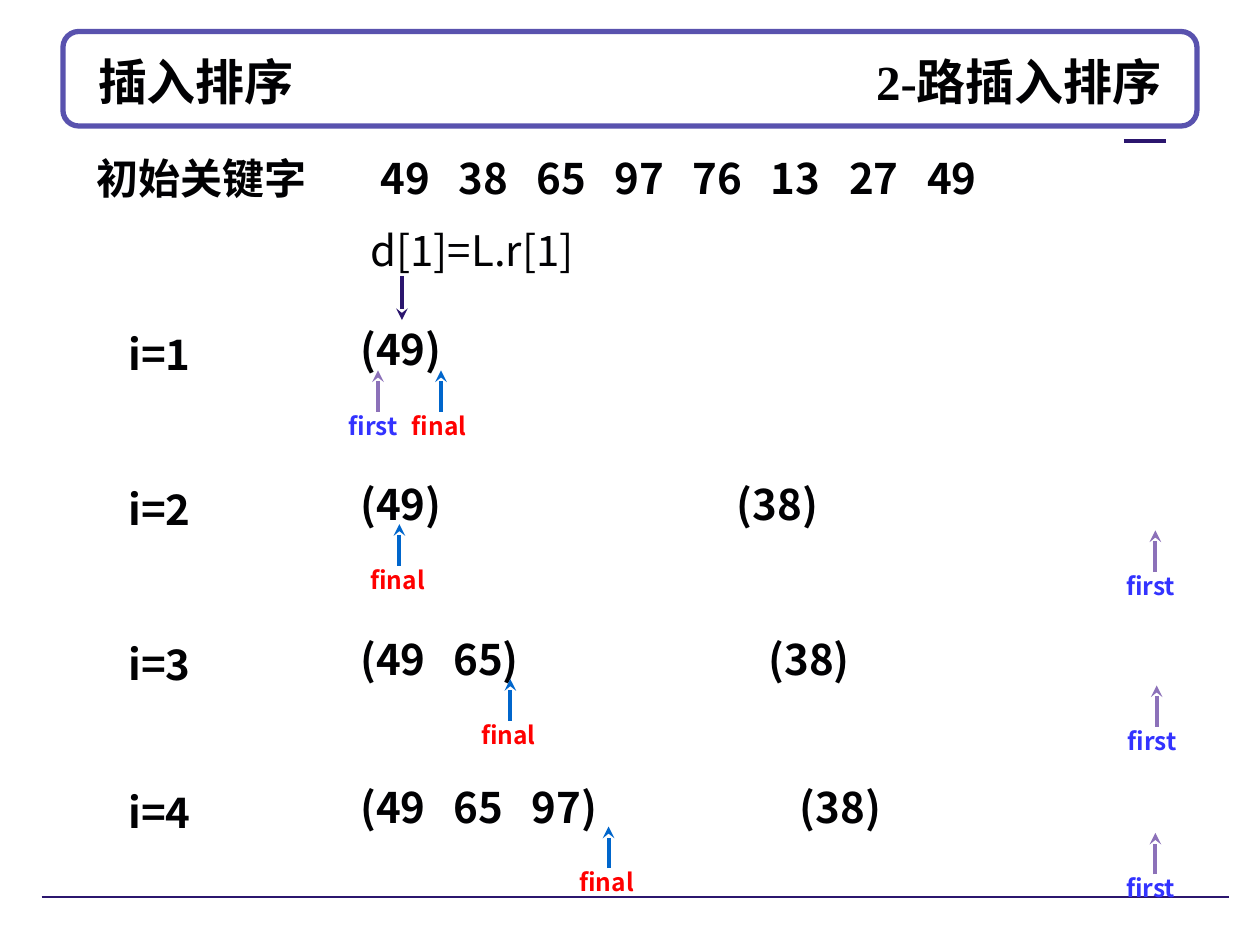
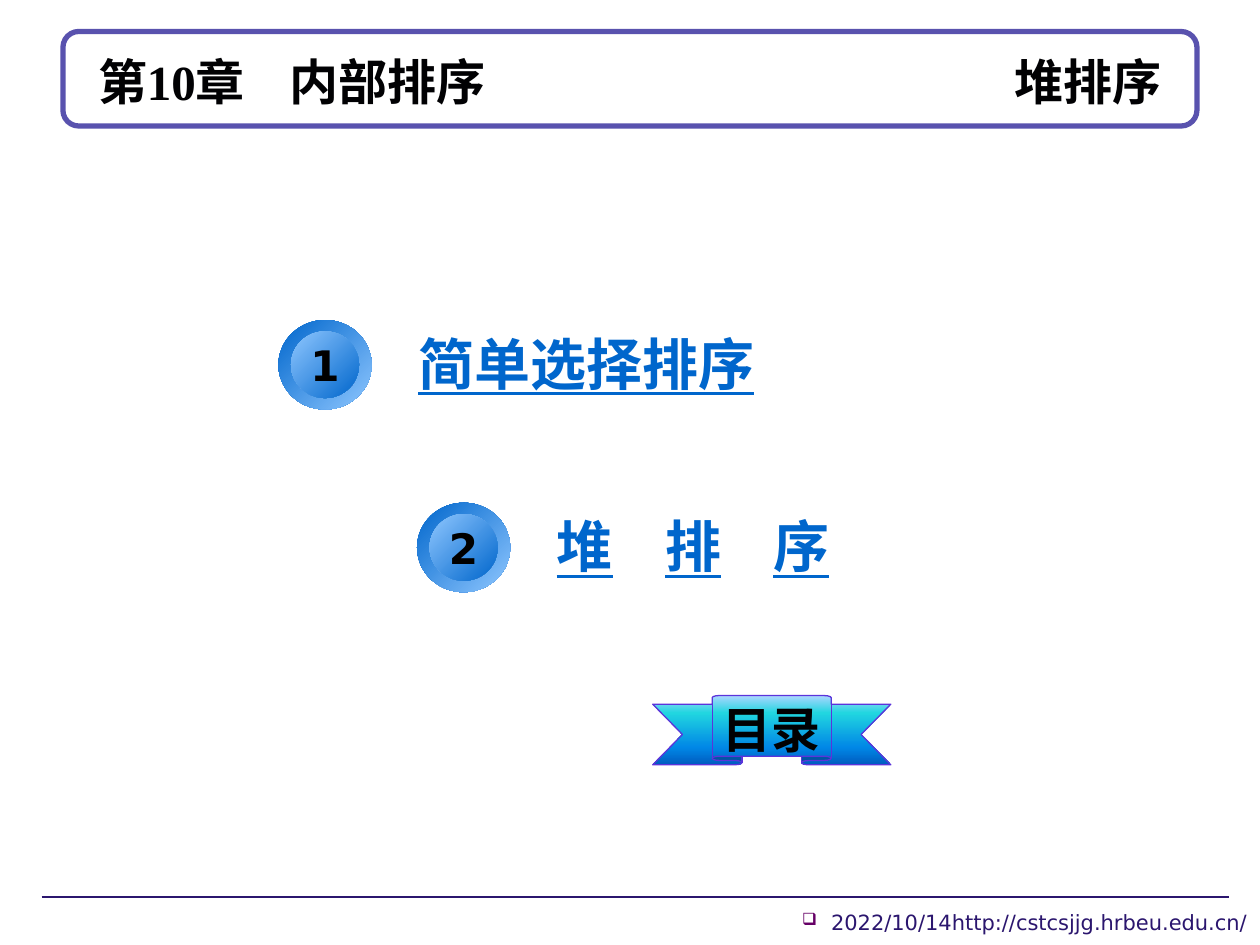
import pptx
import pptx.util
import pptx.dml.color
import pptx.enum.shapes
import pptx.enum.text
import pptx.oxml
import pptx.oxml.ns
from lxml import etree

Inches = pptx.util.Inches
Pt = pptx.util.Pt
ShapeType = pptx.enum.shapes.MSO_SHAPE
Anchor = pptx.enum.text.MSO_ANCHOR
Align = pptx.enum.text.PP_ALIGN
qn = pptx.oxml.ns.qn

COLOURS = {
    "paper": "FFFFFF", "ink": "010103", "black": "000000", "frame": "5952AE",
    "navy": "2B166E", "first": "3333FF", "first_arrow": "8C71B9",
    "final": "FF0000", "final_arrow": "0066CC", "link": "0066CC",
    "sky": "8FC7FF", "ribbon_edge": "5B34DA", "bullet": "660066",
}
RIBBON_STOPS = [(0, "ADD6FF"), (25, "21D6E0"), (75, "0087E6"), (100, "005CBF")]
SANS, SERIF, LABEL, PLAIN = "Noto Sans CJK SC", "Times New Roman", "Cabin", "DejaVu Sans"

INSERTION_TITLE = ["插入排序", "2-路插入排序"]
HEAP_TITLE = ["第10章", "内部排序", "堆排序"]
CHAPTER_TAB = 1.52
KEYS_LABEL = "初始关键字"
KEYS = ["49", "38", "65", "97", "76", "13", "27", "49"]
ASSIGNMENT = "d[1]=L.r[1]"
STEPS = [
    {"name": "i=1", "top": 2.48, "front": ["(49)"], "back": [], "first": (3, 0.71), "final": (3.5, 0.71)},
    {"name": "i=2", "top": 3.71, "front": ["(49)"], "back": ["(38)"], "first": (9.17, 0.75), "final": (3.17, 0.7)},
    {"name": "i=3", "top": 4.94, "front": ["(49", "65)"], "back": ["(38)"], "first": (9.18, 0.75), "final": (4.05, 0.7)},
    {"name": "i=4", "top": 6.11, "front": ["(49", "65", "97)"], "back": ["(38)"], "first": (9.17, 0.75), "final": (4.83, 0.7)},
]
TOPICS = [["简单选择排序"], ["堆", "排", "序"]]
CONTENTS = "目录"
FOOTER = "2022/10/14http://cstcsjjg.hrbeu.edu.cn/"

KEY_PITCH = 0.62
SECOND_KEY = 0.74
BACK_START, BACK_STEP = 2.99, 0.25
TOPIC_START, TOPIC_STEP = (2.21, 2.54), (1.1, 1.45)


def colour(name):
    return pptx.dml.color.RGBColor.from_string(COLOURS[name])


def set_tabs(paragraph, stops):
    tab_list = etree.SubElement(paragraph._p.get_or_add_pPr(), qn("a:tabLst"))
    for position, alignment in stops:
        etree.SubElement(tab_list, qn("a:tab"), pos=str(Inches(position)), algn=alignment)


def write(shape, text, size, font, tint, bold=True, align=Align.LEFT, anchor=Anchor.TOP,
          underline=None, spacing=None, tabs=()):
    frame = shape.text_frame
    frame.word_wrap = True
    frame.vertical_anchor = anchor
    paragraph = frame.paragraphs[0]
    paragraph.alignment = align
    if spacing:
        paragraph.line_spacing = spacing
    if tabs:
        set_tabs(paragraph, tabs)
    run = paragraph.add_run()
    run.text = text
    run.font.size = Pt(size)
    run.font.name = font
    run.font.bold = bold
    run.font.underline = underline
    run.font.color.rgb = colour(tint)
    etree.SubElement(run._r.get_or_add_rPr(), qn("a:ea"), typeface=SANS)
    return paragraph


def add_text(slide, box, text, size, font, tint, **style):
    shape = slide.shapes.add_textbox(*map(Inches, box))
    write(shape, text, size, font, tint, **style)
    return shape


def add_body(slide, box, text, font=SANS, size=24, tint="ink", **style):
    return add_text(slide, box, text, size, font, tint, spacing=1.1, **style)


def add_line(slide, start, end, tint, width, arrow=False):
    connector = slide.shapes.add_connector(
        pptx.enum.shapes.MSO_CONNECTOR.STRAIGHT, *map(Inches, start + end))
    connector.line.color.rgb = colour(tint)
    connector.line.width = Pt(width)
    if arrow:
        etree.SubElement(connector.line._get_or_add_ln(), qn("a:tailEnd"), type="stealth")
    etree.SubElement(connector._element.spPr, qn("a:effectLst"))


def add_preset(slide, kind, box, edge=None, width=1):
    shape = slide.shapes.add_shape(kind, *map(Inches, box))
    shape.shadow.inherit = False
    if edge:
        shape.line.color.rgb = colour(edge)
        shape.line.width = Pt(width)
    else:
        shape.line.fill.background()
    frame = shape.text_frame
    frame.margin_left = frame.margin_right = frame.margin_top = frame.margin_bottom = 0
    return shape


def fill_gradient(shape, stops, angle):
    shape.fill.gradient()
    shape.fill.gradient_angle = 360 - angle
    stop_list = shape._element.spPr.find(qn("a:gradFill")).find(qn("a:gsLst"))
    for stop in list(stop_list):
        stop_list.remove(stop)
    for percent, value in stops:
        stop = etree.SubElement(stop_list, qn("a:gs"), pos=str(percent * 1000))
        etree.SubElement(stop, qn("a:srgbClr"), val=value)


def add_framed_slide(presentation, title, extra_tabs=()):
    slide = presentation.slides.add_slide(presentation.slide_layouts[6])
    slide.background.fill.solid()
    slide.background.fill.fore_color.rgb = colour("paper")
    frame = add_preset(slide, ShapeType.ROUNDED_RECTANGLE, (0.5, 0.25, 9, 0.75), "frame", 3)
    frame.fill.solid()
    frame.fill.fore_color.rgb = colour("paper")
    add_line(slide, (0.33, 7.12), (9.75, 7.12), "navy", 0.75)
    tabs = [(position, "l") for position in extra_tabs] + [(8.44, "r")]
    add_text(slide, (0.68, 0.33, 8.64, 0.62), "\t".join(title), 28, SERIF, "ink",
             anchor=Anchor.MIDDLE, tabs=tabs)
    return slide


def add_pointer(slide, name, x, label_top):
    add_body(slide, (x - 0.33, label_top, 0.75, 0.36), name, size=14, tint=name)
    add_line(slide, (x, label_top + 0.08), (x, label_top - 0.25), name + "_arrow", 2.25, True)


def add_step(slide, step):
    top, front = step["top"], step["front"]
    following = len(front) - 1
    tabs = [(SECOND_KEY + KEY_PITCH * index, "l") for index in range(following)]
    tabs.append((BACK_START + BACK_STEP * following, "l"))
    add_body(slide, (0.92, top + 0.04, 0.83, 0.55), step["name"])
    add_body(slide, (2.76, top, 6.92, 0.55), "\t".join(front + step["back"]), tabs=tabs)
    for name in ("first", "final"):
        x, drop = step[name]
        add_pointer(slide, name, x, top + drop)


def build_insertion_slide(presentation):
    slide = add_framed_slide(presentation, INSERTION_TITLE)
    add_body(slide, (0.67, 1.12, 2, 0.55), KEYS_LABEL, font=LABEL)
    add_body(slide, (2.92, 1.12, 6.67, 0.55), "\t".join(KEYS),
             tabs=[(KEY_PITCH * index, "l") for index in range(1, len(KEYS))])
    for step in STEPS:
        add_step(slide, step)
    add_line(slide, (8.92, 1.12), (9.25, 1.12), "navy", 2.25)
    add_body(slide, (2.84, 1.69, 2.09, 0.55), ASSIGNMENT, bold=False)
    add_line(slide, (3.19, 2.19), (3.19, 2.54), "navy", 2.25, True)


def add_topic(slide, index, words):
    left, top = (start + step * index for start, step in zip(TOPIC_START, TOPIC_STEP))
    tabs = [(0.86 * number, "l") for number in range(1, len(words))]
    add_text(slide, (left + 1.01, top + 0.05, 3.8, 0.58), "\t".join(words), 32, SERIF, "link",
             anchor=Anchor.MIDDLE, underline=True, tabs=tabs)
    ends = [COLOURS["link"], COLOURS["sky"]]
    rim = add_preset(slide, ShapeType.OVAL, (left, top, 0.74, 0.71))
    fill_gradient(rim, list(zip((0, 100), ends)), 45)
    badge = add_preset(slide, ShapeType.OVAL, (left + 0.1, top + 0.09, 0.54, 0.53))
    fill_gradient(badge, list(zip((0, 100), reversed(ends))), 45)
    write(badge, str(index + 1), 24, PLAIN, "black", align=Align.CENTER, anchor=Anchor.MIDDLE)


def add_footer(slide):
    shape = slide.shapes.add_textbox(*map(Inches, (6.04, 7.13, 3.96, 0.37)))
    properties = shape.text_frame.paragraphs[0]._p.get_or_add_pPr()
    properties.set("marL", str(Inches(0.23)))
    properties.set("indent", str(-Inches(0.23)))
    bullet_colour = etree.SubElement(properties, qn("a:buClr"))
    etree.SubElement(bullet_colour, qn("a:srgbClr"), val=COLOURS["bullet"])
    etree.SubElement(properties, qn("a:buSzPct"), val="80000")
    etree.SubElement(properties, qn("a:buFont"), typeface="Wingdings")
    etree.SubElement(properties, qn("a:buChar"), char="q")
    write(shape, FOOTER, 12, PLAIN, "navy", bold=False, align=Align.RIGHT, anchor=Anchor.MIDDLE)


def build_heap_slide(presentation):
    slide = add_framed_slide(presentation, HEAP_TITLE, [CHAPTER_TAB])
    add_footer(slide)
    for index, words in enumerate(TOPICS):
        add_topic(slide, index, words)
    ribbon = add_preset(slide, ShapeType.UP_RIBBON, (5.18, 5.52, 1.89, 0.55), "ribbon_edge", 0.75)
    ribbon.adjustments[0], ribbon.adjustments[1] = 0.125, 0.5
    fill_gradient(ribbon, RIBBON_STOPS, 90)
    write(ribbon, CONTENTS, 28, LABEL, "ink", align=Align.CENTER, anchor=Anchor.MIDDLE, spacing=1.1)


def main():
    presentation = pptx.Presentation()
    presentation.slide_width = Inches(10)
    presentation.slide_height = Inches(7.5)
    build_insertion_slide(presentation)
    build_heap_slide(presentation)
    presentation.save("out.pptx")


if __name__ == "__main__":
    main()
